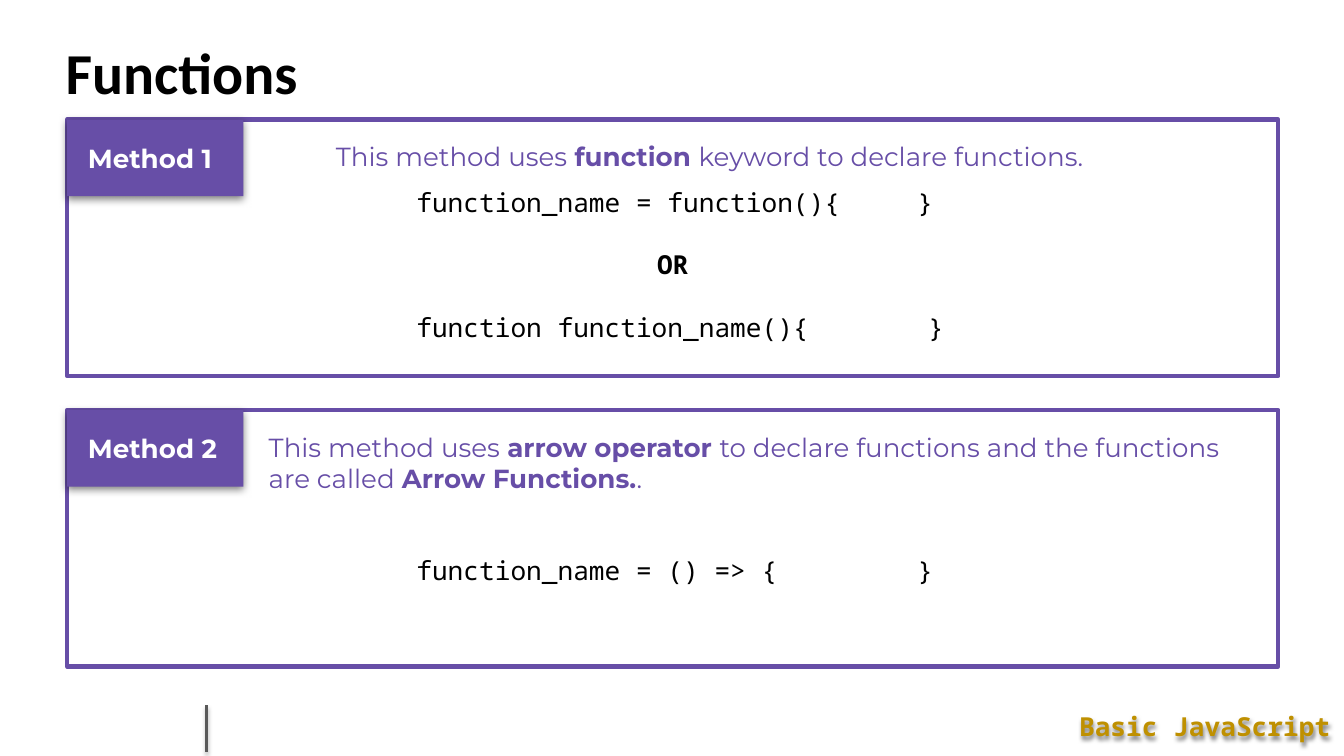
from dataclasses import dataclass

from lxml.etree import SubElement
from pptx import Presentation
from pptx.dml.color import RGBColor
from pptx.enum.shapes import MSO_CONNECTOR, MSO_SHAPE
from pptx.enum.text import MSO_ANCHOR, MSO_AUTO_SIZE, PP_ALIGN
from pptx.oxml.ns import qn
from pptx.util import Cm, Length, Pt

PURPLE = RGBColor(0x67, 0x4E, 0xA7)
GOLD = RGBColor(0xBF, 0x90, 0x00)
GREY = RGBColor(0x59, 0x59, 0x59)
BLACK = RGBColor(0, 0, 0)
WHITE = RGBColor(0xFF, 0xFF, 0xFF)

SANS = "Montserrat"
MONO = "Noto Sans Mono"
INSET = Cm(0.25)
CARD_LEFT, CARD_WIDTH, CARD_HEIGHT = Cm(1.27), Cm(22.89), Cm(4.85)
LABEL_WIDTH, LABEL_HEIGHT = Cm(3.33), Cm(1.45)
CODE_START = Cm(6.35)


@dataclass(frozen=True)
class CodeLine:
    text: str
    brace_at: Length | None = None  # None marks a centred bold separator


@dataclass(frozen=True)
class Method:
    label: str
    top: Length
    description: tuple[str, ...]  # regular and bold parts alternate
    description_left: Length
    description_width: Length
    code: tuple[CodeLine, ...]
    code_top: Length


METHODS = (
    Method(
        "Method 1", Cm(2.26),
        ("This method uses ", "function ", "keyword to declare functions."),
        Cm(6.1), Cm(17.12),
        (CodeLine("function_name = function(){", Cm(15.82)),
         CodeLine("OR"),
         CodeLine("function function_name(){", Cm(16.02))),
        Cm(1.26),
    ),
    Method(
        "Method 2", Cm(7.75),
        ("This method uses ", "arrow operator ",
         "to declare functions and the functions are called ",
         "Arrow Functions.", "."),
        Cm(4.83), Cm(19.15),
        (CodeLine("function_name = () => {", Cm(15.82)),),
        Cm(2.73),
    ),
)


def add_text(paragraph, text: str, *, font=SANS, size=14, color=BLACK, bold=False) -> None:
    run = paragraph.add_run()
    run.text = text
    run.font.name = font
    run.font.size = Pt(size)
    run.font.color.rgb = color
    run.font.bold = bold


def prepare_frame(shape, *, left=INSET, top=INSET, anchor=MSO_ANCHOR.TOP):
    frame = shape.text_frame
    frame.word_wrap = True
    frame.auto_size = MSO_AUTO_SIZE.NONE
    frame.vertical_anchor = anchor
    frame.margin_left, frame.margin_top = left, top
    frame.margin_right = frame.margin_bottom = INSET
    frame.paragraphs[0].alignment = PP_ALIGN.LEFT
    return frame


def add_shadow(shape, *, alpha: int, blur: float) -> None:
    properties = shape._element.spPr
    effects = properties.find(qn("a:effectLst"))
    if effects is None:
        effects = SubElement(properties, qn("a:effectLst"))
    shadow = SubElement(effects, qn("a:outerShdw"), blurRad=str(Pt(blur)),
                        dist=str(Pt(1.5)), dir="5400000", algn="bl", rotWithShape="0")
    color = SubElement(shadow, qn("a:srgbClr"), val=str(BLACK))
    SubElement(color, qn("a:alpha"), val=str(alpha * 1000))


def set_tab_stops(paragraph, *positions: Length) -> None:
    tabs = SubElement(paragraph._p.get_or_add_pPr(), qn("a:tabLst"))
    for position in positions:
        SubElement(tabs, qn("a:tab"), pos=str(position), algn="l")


def add_panel(shapes, top: Length, width: Length, height: Length):
    """Add a square-cornered panel with neither fill, line nor shadow."""
    panel = shapes.add_shape(MSO_SHAPE.ROUNDED_RECTANGLE, CARD_LEFT, top, width, height)
    panel.adjustments[0] = 0
    panel.shadow.inherit = False
    panel.fill.background()
    panel.line.fill.background()
    return panel


def add_method(slide, method: Method) -> None:
    shapes = slide.shapes.add_group_shape().shapes

    card = add_panel(shapes, method.top, CARD_WIDTH, CARD_HEIGHT)
    card.line.color.rgb = PURPLE
    card.line.width = Pt(2.25)
    frame = prepare_frame(card, top=method.code_top)
    for index, code in enumerate(method.code):
        paragraph = frame.add_paragraph() if index else frame.paragraphs[0]
        if index:
            paragraph.space_before = Pt(16.7)
        if code.brace_at is None:
            paragraph.alignment = PP_ALIGN.CENTER
            add_text(paragraph, code.text, font=MONO, bold=True)
        else:
            paragraph.alignment = PP_ALIGN.LEFT
            set_tab_stops(paragraph, CODE_START, code.brace_at)
            add_text(paragraph, f"\t{code.text}\t}}", font=MONO)

    description = shapes.add_textbox(method.description_left, method.top + Cm(0.15),
                                     method.description_width, Cm(1.09))
    paragraph = prepare_frame(description).paragraphs[0]
    for index, part in enumerate(method.description):
        add_text(paragraph, part, color=PURPLE, bold=index % 2 == 1)

    label = add_panel(shapes, method.top, LABEL_WIDTH, LABEL_HEIGHT)
    label.fill.solid()
    label.fill.fore_color.rgb = PURPLE
    add_shadow(label, alpha=50, blur=4.5)
    frame = prepare_frame(label, left=Cm(0.39), anchor=MSO_ANCHOR.MIDDLE)
    add_text(frame.paragraphs[0], method.label, color=WHITE, bold=True)


def add_footer(slide) -> None:
    course = slide.shapes.add_textbox(Cm(19.3), Cm(13.18), Cm(6.1), Cm(1.09))
    add_shadow(course, alpha=50, blur=2.2)
    paragraph = prepare_frame(course).paragraphs[0]
    paragraph.alignment = PP_ALIGN.RIGHT
    add_text(paragraph, "Basic JavaScript", font=MONO, color=GOLD, bold=True)

    divider = slide.shapes.add_connector(
        MSO_CONNECTOR.STRAIGHT, Cm(3.91), Cm(13.33), Cm(3.91), Cm(14.22))
    divider.line.color.rgb = GREY
    divider.line.width = Pt(1.5)
    add_shadow(divider, alpha=29, blur=2.2)


def main() -> None:
    presentation = Presentation()
    presentation.slide_width, presentation.slide_height = Cm(25.4), Cm(14.29)
    slide = presentation.slides.add_slide(presentation.slide_layouts[5])

    title = slide.shapes.title
    title.left, title.top, title.width, title.height = Cm(0.99), Cm(0.36), Cm(18.62), Cm(1.98)
    frame = prepare_frame(title, anchor=MSO_ANCHOR.MIDDLE)
    add_text(frame.paragraphs[0], "Functions", font="Calibri", size=31, bold=True)

    add_footer(slide)
    for method in METHODS:
        add_method(slide, method)
    presentation.save("out.pptx")


if __name__ == "__main__":
    main()
